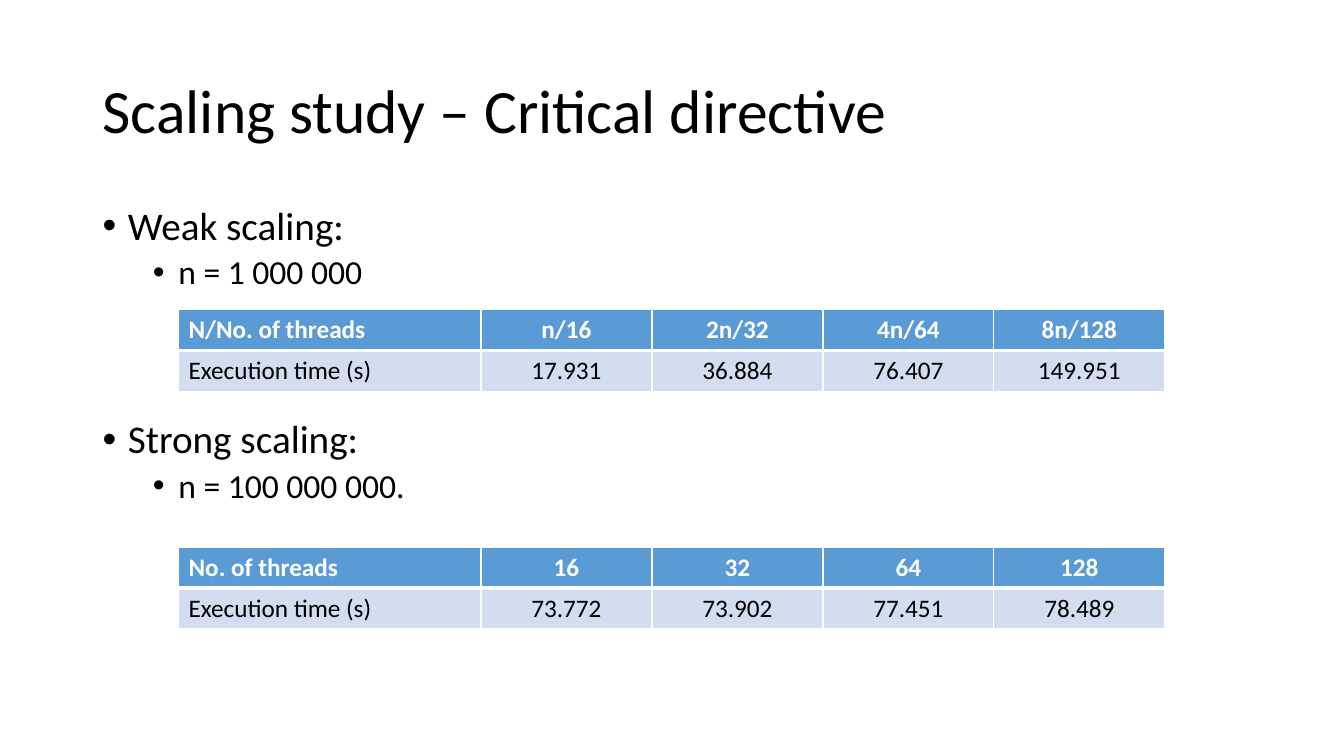
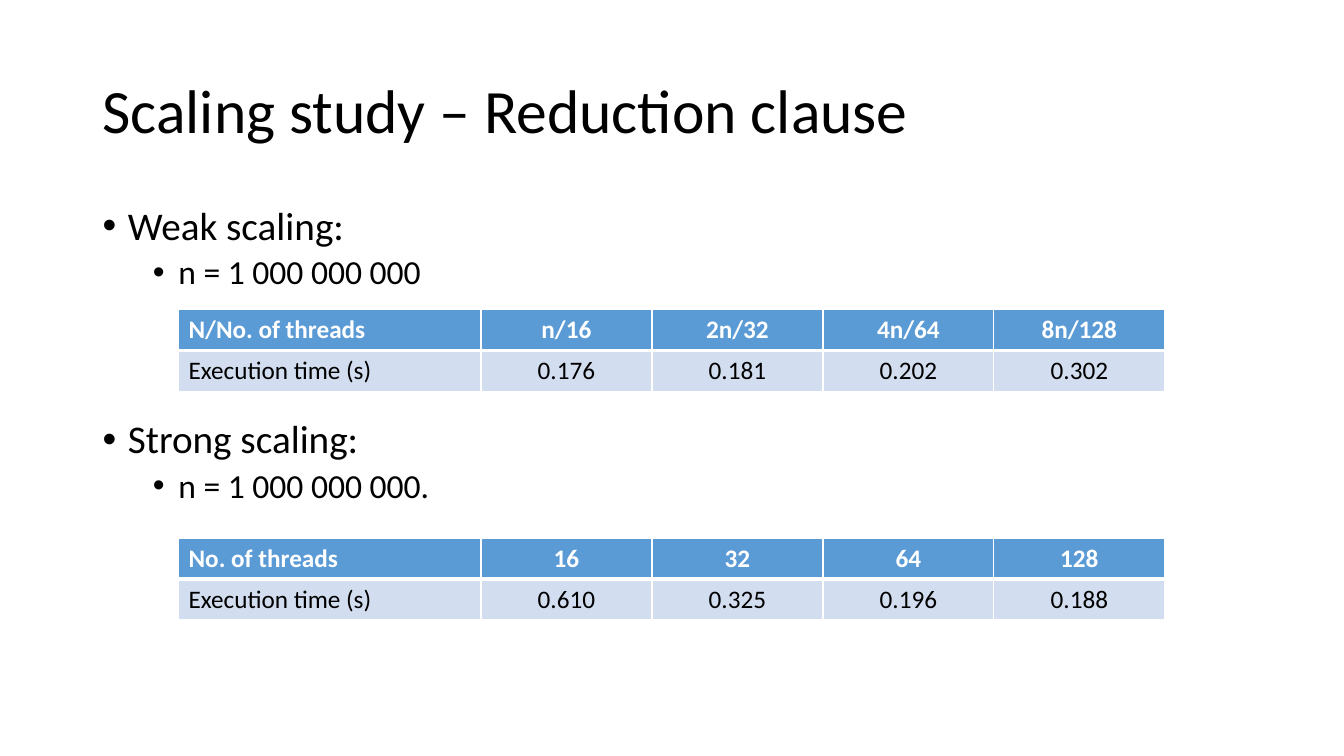
from lxml import etree
from pptx import Presentation
from pptx.dml.color import RGBColor
from pptx.enum.text import MSO_ANCHOR, MSO_AUTO_SIZE, PP_ALIGN
from pptx.oxml.ns import qn
from pptx.util import Cm, Pt

LEFT, CENTER = PP_ALIGN.LEFT, PP_ALIGN.CENTER
TOP, MIDDLE = MSO_ANCHOR.TOP, MSO_ANCHOR.MIDDLE
NO_FIT = MSO_AUTO_SIZE.NONE

# Content
WEAK_HEAD = ("N/No. of threads", "n/16", "2n/32", "4n/64", "8n/128")
STRONG_HEAD = ("No. of threads", "16", "32", "64", "128")
TIME_LABEL = "Execution time (s)"
STUDIES = [
    {
        "title": "Scaling study – Critical directive",
        "weak_size": "n = 1 000 000",
        "weak_times": ("17.931", "36.884", "76.407", "149.951"),
        "strong_size": "n = 100 000 000.",
        "strong_times": ("73.772", "73.902", "77.451", "78.489"),
        "strong_top": 13.79,
    },
    {
        "title": "Scaling study – Reduction clause",
        "weak_size": "n = 1 000 000 000",
        "weak_times": ("0.176", "0.181", "0.202", "0.302"),
        "strong_size": "n = 1 000 000 000.",
        "strong_times": ("0.610", "0.325", "0.196", "0.188"),
        "strong_top": 13.56,
    },
]

# Shared look, lengths in centimetres
FONT = "Calibri"
COLORS = {"text": "000000", "head_text": "FFFFFF", "head": "5B9BD5",
          "row": "D2DEEF", "border": "FFFFFF"}
TITLE_BOX = {"left": 2.33, "top": 1.01, "width": 29.21, "height": 3.68}
BODY_BOX = {"left": 2.33, "top": 5.07, "width": 29.21, "height": 12.09}
TABLE_LEFT, WEAK_TOP = 4.5, 7.8
COLUMN_WIDTHS = (7.62,) + (4.31,) * 4
ROW_HEIGHT = 1.03
HANG = 0.64
LEVELS = ({"size": 28, "margin": 0.64, "before": 10},
          {"size": 24, "margin": 1.91, "before": 5})
TABLE_GAP = 91.5  # points before the heading that follows the first table
THIN, THICK = 1, 3


def style_span(span, size, color, bold=False):
    values = {"name": FONT, "size": Pt(size), "bold": bold}
    for name, value in values.items():
        setattr(span.font, name, value)
    span.font.color.rgb = RGBColor.from_string(COLORS[color])


def place(box, bounds, anchor):
    for name, value in bounds.items():
        setattr(box, name, Cm(value))
    box.text_frame.auto_size = NO_FIT
    box.text_frame.vertical_anchor = anchor


def add_bullet(para, text, level, before):
    look = LEVELS[level]
    values = {"level": level, "alignment": LEFT, "line_spacing": 0.9,
              "space_before": Pt(before), "space_after": Pt(0)}
    for name, value in values.items():
        setattr(para, name, value)
    span = para.add_run()
    span.text = text
    style_span(span, look["size"], "text")
    # Bullet sign and hanging indent
    properties = para._p.get_or_add_pPr()
    properties.set("marL", str(Cm(look["margin"])))
    properties.set("indent", str(-Cm(HANG)))
    etree.SubElement(properties, qn("a:buFont"), typeface="Arial")
    etree.SubElement(properties, qn("a:buChar"), char="•")


def add_borders(cell, top, bottom):
    properties = cell._tc.get_or_add_tcPr()
    widths = {"a:lnL": THIN, "a:lnR": THIN, "a:lnT": top, "a:lnB": bottom}
    for index, (tag, width) in enumerate(widths.items()):
        line = etree.Element(qn(tag), w=str(Pt(width)))
        fill = etree.SubElement(line, qn("a:solidFill"))
        etree.SubElement(fill, qn("a:srgbClr"), val=COLORS["border"])
        properties.insert(index, line)


def add_times_table(page, top, head, times):
    rows = (head, (TIME_LABEL,) + times)
    table = page.shapes.add_table(
        len(rows), len(head), Cm(TABLE_LEFT), Cm(top),
        Cm(sum(COLUMN_WIDTHS)), Cm(ROW_HEIGHT * len(rows))).table
    for column, width in zip(table.columns, COLUMN_WIDTHS):
        column.width = Cm(width)
    for row_index, texts in enumerate(rows):
        table.rows[row_index].height = Cm(ROW_HEIGHT)
        is_head = row_index == 0
        for column_index, text in enumerate(texts):
            cell = table.cell(row_index, column_index)
            cell.fill.solid()
            cell.fill.fore_color.rgb = RGBColor.from_string(
                COLORS["head" if is_head else "row"])
            add_borders(cell, THIN if is_head else THICK,
                        THICK if is_head else THIN)
            para = cell.text_frame.paragraphs[0]
            para.alignment = CENTER if column_index else LEFT
            span = para.add_run()
            span.text = text
            style_span(span, 18, "head_text" if is_head else "text", is_head)


def add_study(deck, study):
    page = deck.slides.add_slide(deck.slide_layouts[1])
    title, body = page.placeholders

    # Title
    place(title, TITLE_BOX, MIDDLE)
    para = title.text_frame.paragraphs[0]
    para.alignment, para.line_spacing = LEFT, 0.9
    span = para.add_run()
    span.text = study["title"]
    style_span(span, 44, "text")

    # List
    place(body, BODY_BOX, TOP)
    bullets = (("Weak scaling:", 0, LEVELS[0]["before"]),
               (study["weak_size"], 1, LEVELS[1]["before"]),
               ("Strong scaling:", 0, TABLE_GAP),
               (study["strong_size"], 1, LEVELS[1]["before"]))
    frame = body.text_frame
    for index, bullet in enumerate(bullets):
        para = frame.add_paragraph() if index else frame.paragraphs[0]
        add_bullet(para, *bullet)

    # Tables
    add_times_table(page, WEAK_TOP, WEAK_HEAD, study["weak_times"])
    add_times_table(page, study["strong_top"], STRONG_HEAD,
                    study["strong_times"])


deck = Presentation()
deck.slide_width, deck.slide_height = Cm(33.87), Cm(19.05)
for study in STUDIES:
    add_study(deck, study)
deck.save("out.pptx")
